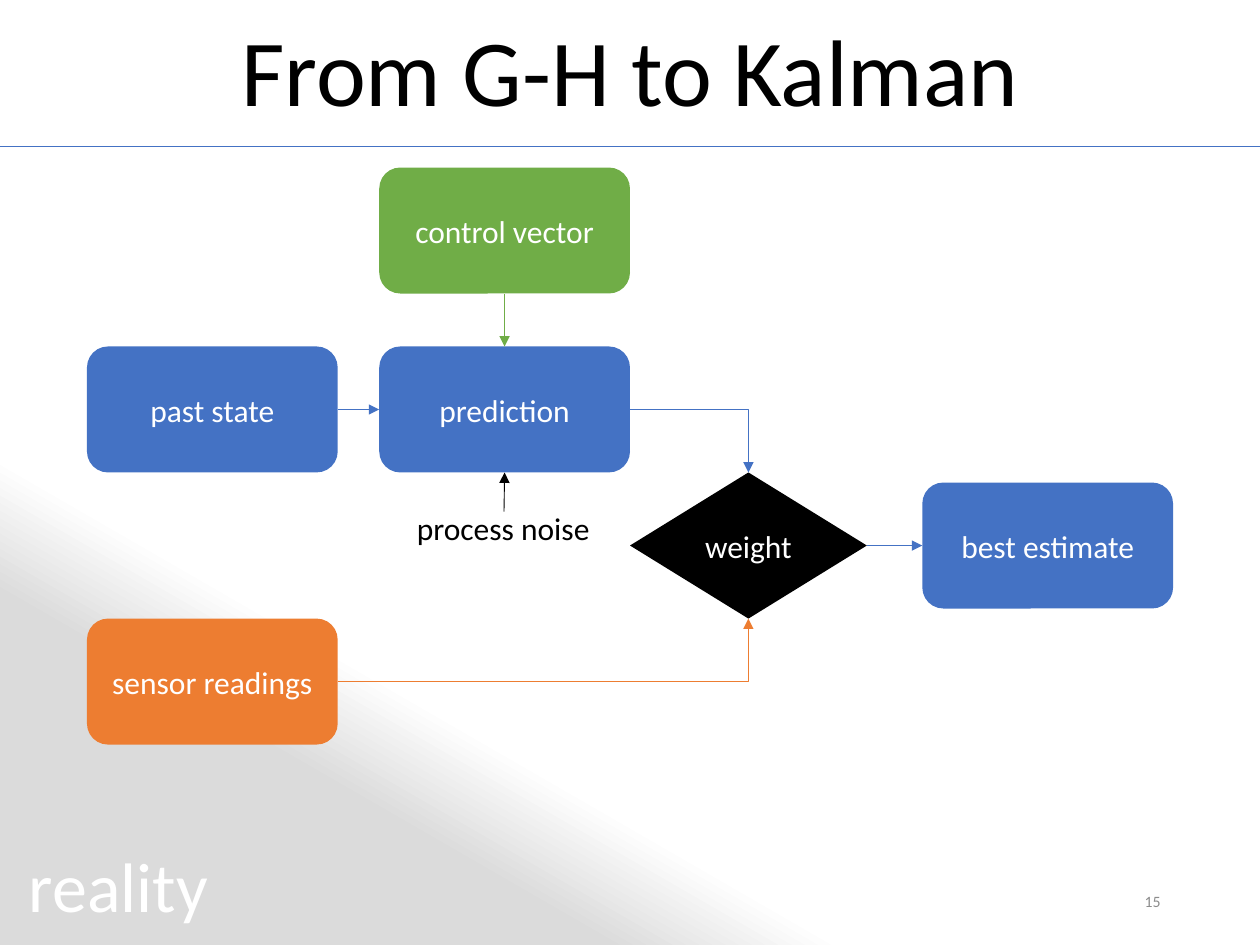
from lxml.etree import SubElement
from pptx import Presentation
from pptx.dml.color import RGBColor
from pptx.enum.shapes import MSO_CONNECTOR, MSO_SHAPE
from pptx.enum.text import MSO_ANCHOR, MSO_AUTO_SIZE, PP_ALIGN
from pptx.oxml.ns import qn
from pptx.util import Inches, Pt

COLORS = {
    "blue": "4472C4",
    "orange": "ED7D31",
    "green": "70AD47",
    "black": "000000",
    "white": "FFFFFF",
    "haze": "DBDBDB",
    "gray": "8C8C8C",
}
TOP, LEFT, BOTTOM, RIGHT = range(4)
BOX_SIZE = (1.99, 1)
DIAMOND_SIZE = (1.88, 1.16)
FIXED = {"word_wrap": True, "auto_size": MSO_AUTO_SIZE.NONE, "vertical_anchor": MSO_ANCHOR.MIDDLE}
GROWING = {"word_wrap": False, "auto_size": MSO_AUTO_SIZE.SHAPE_TO_FIT_TEXT, "vertical_anchor": MSO_ANCHOR.TOP}


def rgb(name):
    return RGBColor.from_string(COLORS[name])


def set_format(target, values):
    for attribute, value in values.items():
        setattr(target, attribute, value)


def place(shape, left, top, width, height):
    bounds = {"left": left, "top": top, "width": width, "height": height}
    set_format(shape, {side: Inches(length) for side, length in bounds.items()})


def write(shape, text, size, color, align=PP_ALIGN.CENTER, frame_format=FIXED, spacing=1.0):
    frame = shape.text_frame
    set_format(frame, frame_format)
    paragraph = frame.paragraphs[0]
    set_format(paragraph, {"alignment": align, "line_spacing": spacing})
    run = paragraph.add_run()
    run.text = text
    set_format(run.font, {"name": "Calibri", "size": Pt(size)})
    run.font.color.rgb = rgb(color)


def add_title(slide, text):
    title = slide.shapes.title
    place(title, 0, 0.02, 10, 1.16)
    write(title, text, 54, "black", spacing=0.9)


def add_haze(slide):
    haze = slide.shapes.add_shape(
        MSO_SHAPE.RECTANGLE, Inches(0), Inches(1.18), Inches(10), Inches(6.32)
    )
    haze.shadow.inherit = False
    haze.line.fill.background()
    haze.fill.gradient()
    haze.fill.gradient_angle = 60
    for stop, position, color in zip(haze.fill.gradient_stops, (0.23, 0.32), ("haze", "white")):
        stop.position = position
        stop.color.rgb = rgb(color)


def add_node(slide, text, left, top, color, kind=MSO_SHAPE.ROUNDED_RECTANGLE, size=BOX_SIZE):
    node = slide.shapes.add_shape(kind, *map(Inches, (left, top, *size)))
    node.shadow.inherit = False
    node.fill.solid()
    node.fill.fore_color.rgb = rgb(color)
    node.line.fill.background()
    write(node, text, 18, "white")
    return node


def add_label(slide, text, bounds, size, color, **options):
    label = slide.shapes.add_textbox(*map(Inches, bounds))
    write(label, text, size, color, **options)


def add_line(slide, color, start=(0, 0), end=(0, 0), kind=MSO_CONNECTOR.STRAIGHT):
    line = slide.shapes.add_connector(kind, *map(Inches, (*start, *end)))
    line.line.width = Pt(0.5)
    line.line.color.rgb = rgb(color)
    SubElement(line.element.spPr, qn("a:effectLst"))
    return line


def add_head(line):
    outline = line.element.spPr.find(qn("a:ln"))
    SubElement(outline, qn("a:tailEnd"), type="triangle")


def link(slide, source, source_side, target, target_side, color, bent=False):
    kind = MSO_CONNECTOR.ELBOW if bent else MSO_CONNECTOR.STRAIGHT
    arrow = add_line(slide, color, kind=kind)
    arrow.begin_connect(source, source_side)
    arrow.end_connect(target, target_side)
    if bent:
        arrow.element.spPr.find(qn("a:prstGeom")).set("prst", "bentConnector2")
    add_head(arrow)


def add_flow(slide):
    past = add_node(slide, "past state", 0.69, 2.75, "blue")
    sensor = add_node(slide, "sensor readings", 0.69, 4.91, "orange")
    prediction = add_node(slide, "prediction", 3.01, 2.75, "blue")
    control = add_node(slide, "control vector", 3.01, 1.33, "green")
    weight = add_node(slide, "weight", 5, 3.75, "black", MSO_SHAPE.DIAMOND, DIAMOND_SIZE)
    estimate = add_node(slide, "best estimate", 7.32, 3.83, "blue")

    link(slide, past, RIGHT, prediction, LEFT, "blue")
    link(slide, control, BOTTOM, prediction, TOP, "green")
    link(slide, prediction, RIGHT, weight, TOP, "blue", bent=True)
    link(slide, sensor, RIGHT, weight, BOTTOM, "orange", bent=True)
    link(slide, weight, RIGHT, estimate, LEFT, "blue")

    add_label(slide, "process noise", (3.21, 3.99, 1.59, 0.4), 18, "black",
              align=PP_ALIGN.LEFT, frame_format=GROWING)
    noise_arrow = add_line(slide, "black", (4, 4.06), (4, 3.75))
    noise_arrow.end_connect(prediction, BOTTOM)
    add_head(noise_arrow)


def main():
    deck = Presentation()
    set_format(deck, {"slide_width": Inches(10), "slide_height": Inches(7.5)})
    slide = deck.slides.add_slide(deck.slide_layouts[5])
    add_haze(slide)
    add_title(slide, "From G-H to Kalman")
    add_line(slide, "blue", (0, 1.16), (10, 1.16))
    add_flow(slide)
    add_label(slide, "reality", (0.12, 6.64, 1.64, 0.77), 40, "white", frame_format=GROWING)
    add_label(slide, "15", (7.06, 6.95, 2.25, 0.4), 9, "gray", align=PP_ALIGN.RIGHT)
    deck.save("out.pptx")


if __name__ == "__main__":
    main()
